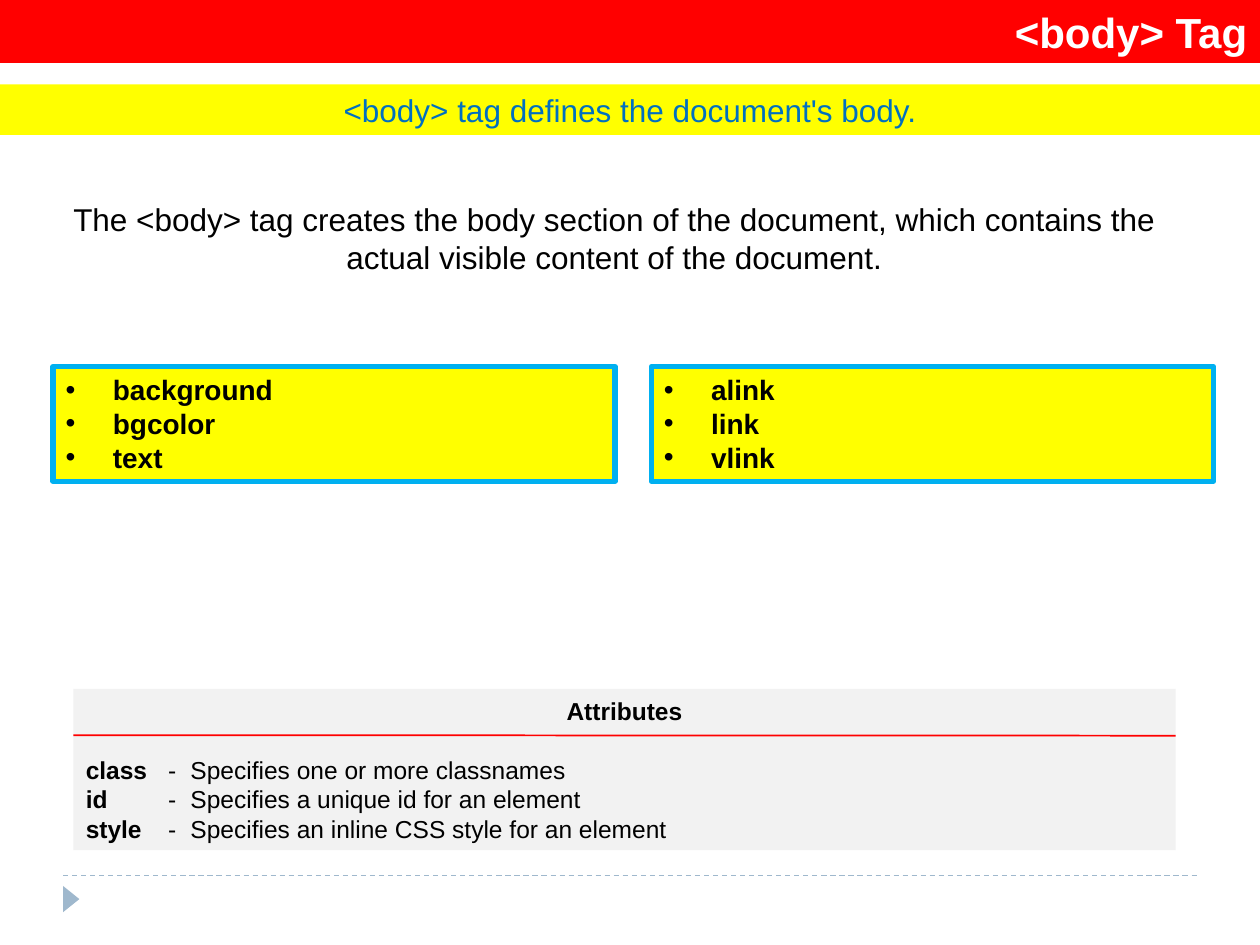
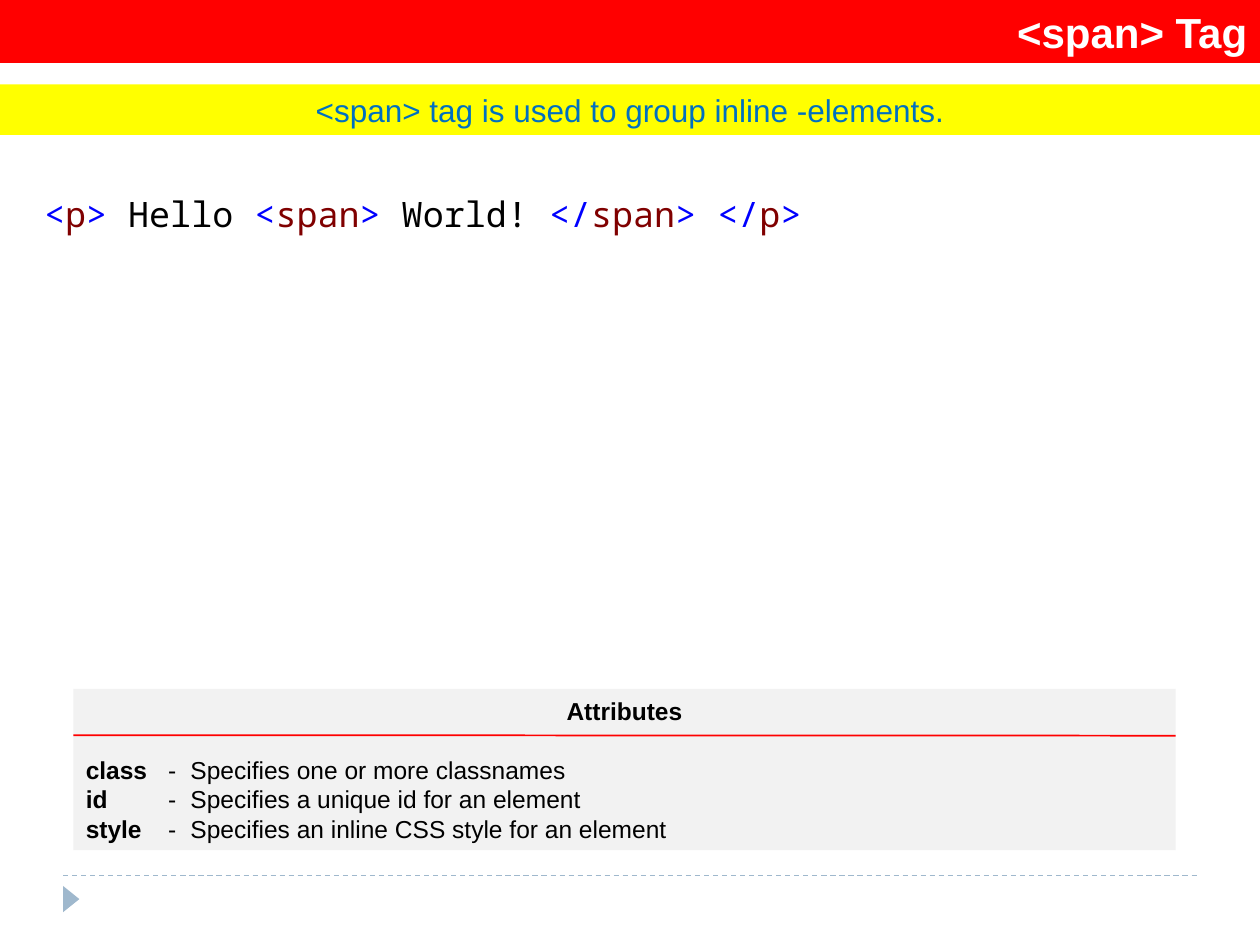
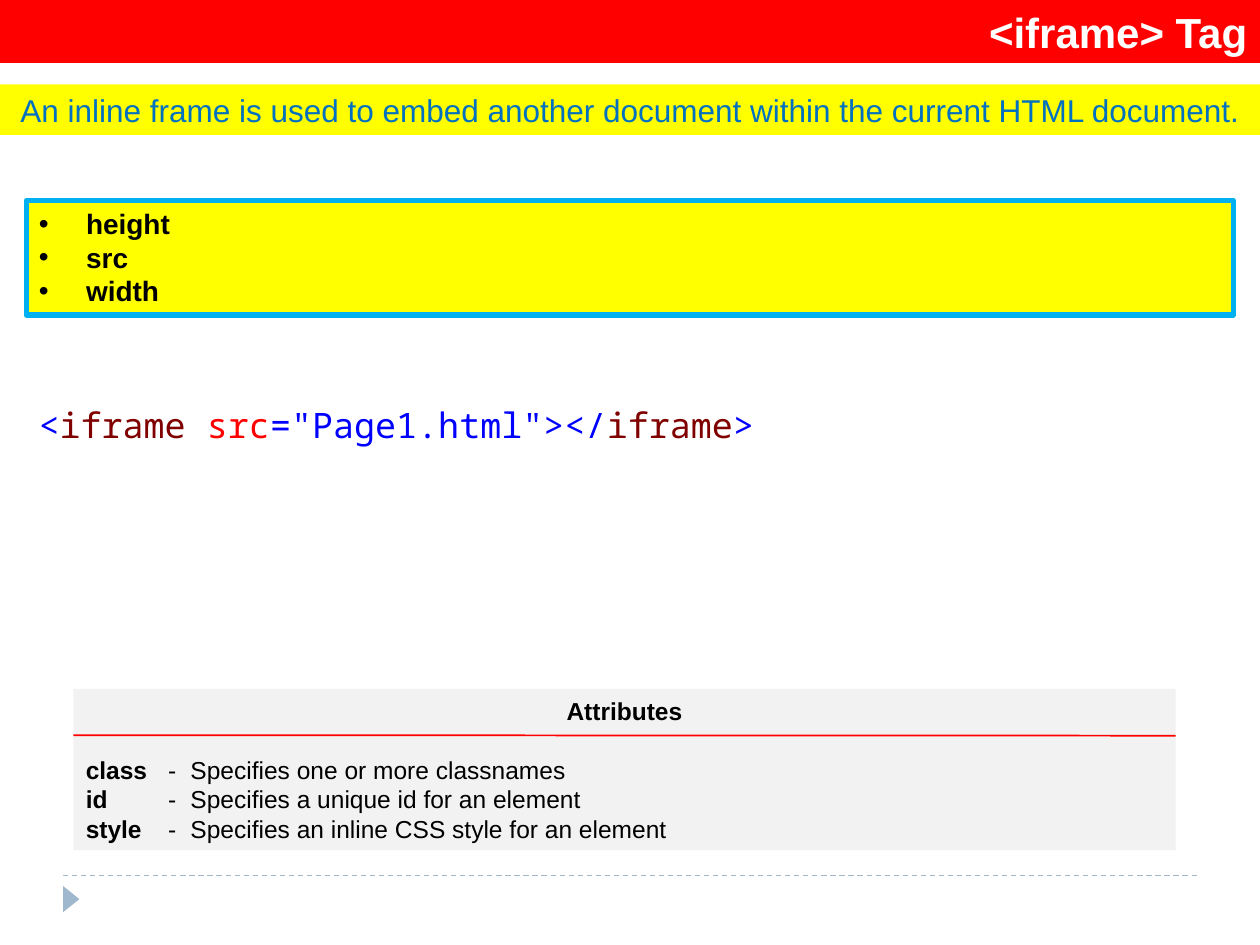
"""Build three slides on the HTML body, span and iframe tags."""
import pptx
import pptx.dml.color
import pptx.enum.dml
import pptx.enum.shapes
import pptx.enum.text
import pptx.oxml.ns
import pptx.util
import lxml.etree

Cm = pptx.util.Cm
Pt = pptx.util.Pt
Color = pptx.dml.color.RGBColor
Shape = pptx.enum.shapes.MSO_SHAPE
Align = pptx.enum.text.PP_ALIGN
Anchor = pptx.enum.text.MSO_ANCHOR

RED = Color(0xFF, 0x00, 0x00)
YELLOW = Color(0xFF, 0xFF, 0x00)
WHITE = Color(0xFF, 0xFF, 0xFF)
BLACK = Color(0x00, 0x00, 0x00)
GREY = Color(0xF2, 0xF2, 0xF2)
STEEL = Color(0x9F, 0xB8, 0xCD)
SKY = Color(0x00, 0xB0, 0xF0)
OCEAN = Color(0x00, 0x70, 0xC0)
BLUE = Color(0x00, 0x00, 0xFF)
MAROON = Color(0x80, 0x00, 0x00)

WIDTH, HEIGHT = 25.4, 19.05
SANS, MONO = "Arial", "Noto Sans Mono"
TERMS = [
    ("class", "Specifies one or more classnames"),
    ("id", "Specifies a unique id for an element"),
    ("style", "Specifies an inline CSS style for an element"),
]


class Deck:
    """Hold the style and the current slide."""

    def __init__(self):
        self.show = pptx.Presentation()
        self.show.slide_width, self.show.slide_height = Cm(WIDTH), Cm(HEIGHT)
        self.slide = None

    def start(self, layout, title, lead):
        """Add a slide with its title, lead band and footer."""
        self.slide = self.show.slides.add_slide(self.show.slide_layouts[layout])
        self.line(1.27, 17.65, 24.13, 17.65, STEEL, 0.75, dash=True)
        mark = self.block(Shape.ISOSCELES_TRIANGLE, 1.17, 17.96, 0.53, 0.33, STEEL)
        mark.rotation = 90
        head = self.slide.shapes.title
        self.place(head, 0, 0, WIDTH, 1.27, RED)
        head.text_frame.text = title
        head.text_frame.vertical_anchor = Anchor.MIDDLE
        self.style(head.text_frame, 24, WHITE, bold=True, align=Align.RIGHT)
        band = self.block(Shape.RECTANGLE, 0, 1.7, WIDTH, 1.02, YELLOW)
        band.text_frame.text = lead
        self.style(band.text_frame, 18, OCEAN, align=Align.CENTER)

    def style(self, frame, size, color, bold=False, align=Align.LEFT):
        """Format every run in a frame."""
        for para in frame.paragraphs:
            para.alignment = align
            para.space_before = Pt(0)
            for run in para.runs:
                self.paint(run, size, color, bold)

    def paint(self, run, size, color, bold=False, face=SANS):
        """Format one run."""
        run.font.name, run.font.size, run.font.bold = face, Pt(size), bold
        run.font.color.rgb = color

    def place(self, item, left, top, width, height, fill):
        """Move and fill a placeholder."""
        item.left, item.top = Cm(left), Cm(top)
        item.width, item.height = Cm(width), Cm(height)
        item.fill.solid()
        item.fill.fore_color.rgb = fill
        item.text_frame.auto_size = pptx.enum.text.MSO_AUTO_SIZE.NONE

    def block(self, kind, left, top, width, height, fill):
        """Add a flat filled shape."""
        item = self.slide.shapes.add_shape(
            kind, Cm(left), Cm(top), Cm(width), Cm(height))
        item.shadow.inherit = False
        item.fill.solid()
        item.fill.fore_color.rgb = fill
        item.line.fill.background()
        return item

    def line(self, left, top, right, end, color, weight, dash=False):
        """Add a straight line."""
        item = self.slide.shapes.add_connector(
            pptx.enum.shapes.MSO_CONNECTOR.STRAIGHT,
            Cm(left), Cm(top), Cm(right), Cm(end))
        item.line.color.rgb = color
        item.line.width = Pt(weight)
        if dash:
            item.line.dash_style = pptx.enum.dml.MSO_LINE.DASH
        lxml.etree.SubElement(
            item._element.spPr, pptx.oxml.ns.qn("a:effectLst"))

    def text(self, left, top, width, height):
        """Add a text box that wraps and return its frame."""
        frame = self.slide.shapes.add_textbox(
            Cm(left), Cm(top), Cm(width), Cm(height)).text_frame
        frame.word_wrap = True
        return frame

    def note(self, words, left, top, width, height):
        """Add a centred note."""
        frame = self.text(left, top, width, height)
        frame.text = words
        self.style(frame, 18, BLACK, align=Align.CENTER)

    def code(self, parts, left, top, width):
        """Add a line of coloured code."""
        para = self.text(left, top, width, 1.12).paragraphs[0]
        for words, color in parts:
            run = para.add_run()
            run.text = words
            self.paint(run, 20, color, face=MONO)

    def list(self, slot, names, left, top, width):
        """Fill a body placeholder with a framed list."""
        item = self.slide.placeholders[slot]
        self.place(item, left, top, width, 2.31, YELLOW)
        item.line.color.rgb = SKY
        item.line.width = Pt(3)
        item.text_frame.text = "\n".join(names)
        item.text_frame.vertical_anchor = Anchor.TOP
        self.style(item.text_frame, 16, BLACK, bold=True)

    def terms(self):
        """Add the panel of shared attributes."""
        left, top, width = 1.48, 13.89, 22.22
        frame = self.block(
            Shape.RECTANGLE, left, top, width, 3.25, GREY).text_frame
        frame.text = "Attributes"
        self.style(frame, 14, BLACK, bold=True, align=Align.CENTER)
        for row, (name, sense) in enumerate(TERMS):
            para = frame.add_paragraph()
            para.alignment = Align.LEFT
            para.space_before = Pt(0 if row else 16.8)
            tabs = lxml.etree.SubElement(
                para._p.get_or_add_pPr(), pptx.oxml.ns.qn("a:tabLst"))
            for stop in (1.66, 2.11):
                lxml.etree.SubElement(
                    tabs, pptx.oxml.ns.qn("a:tab"), pos=str(Cm(stop)), algn="l")
            for words, bold in ((name, True), (f"\t-\t{sense}", False)):
                run = para.add_run()
                run.text = words
                self.paint(run, 14, BLACK, bold)
        self.line(left, 14.82, left + width, 14.83, RED, 1)


def main():
    """Build and save the slides."""
    deck = Deck()

    deck.start(3, "<body> Tag", "<body> tag defines the document's body.")
    deck.note("The <body> tag creates the body section of the document, which "
              "contains the actual visible content of the document.",
              0.84, 3.91, 23.09, 1.8)
    deck.terms()
    lists = [("background", "bgcolor", "text"), ("alink", "link", "vlink")]
    for col, names in enumerate(lists):
        deck.list(col + 1, names, 1.07 + col * 12.06, 7.39, 11.33)

    deck.start(5, "<span> Tag", "<span> tag is used to group inline -elements.")
    deck.terms()
    deck.code([("<", BLUE), ("p", MAROON), (">", BLUE), (" Hello ", BLACK),
               ("<", BLUE), ("span", MAROON), (">", BLUE), (" World! ", BLACK),
               ("</", BLUE), ("span", MAROON), ("> </", BLUE), ("p", MAROON),
               (">", BLUE)], 0.64, 3.76, 24.13)

    deck.start(1, "<iframe> Tag", "An inline frame is used to embed another "
               "document within the current HTML document.")
    deck.terms()
    deck.list(1, ("height", "src", "width"), 0.53, 4.04, 24.33)
    deck.code([("<", BLUE), ("iframe ", MAROON), ("src", RED),
               ('="Page1.html"></', BLUE), ("iframe", MAROON), (">", BLUE)],
              0.53, 8, 24.33)

    deck.show.save("out.pptx")


if __name__ == "__main__":
    main()
